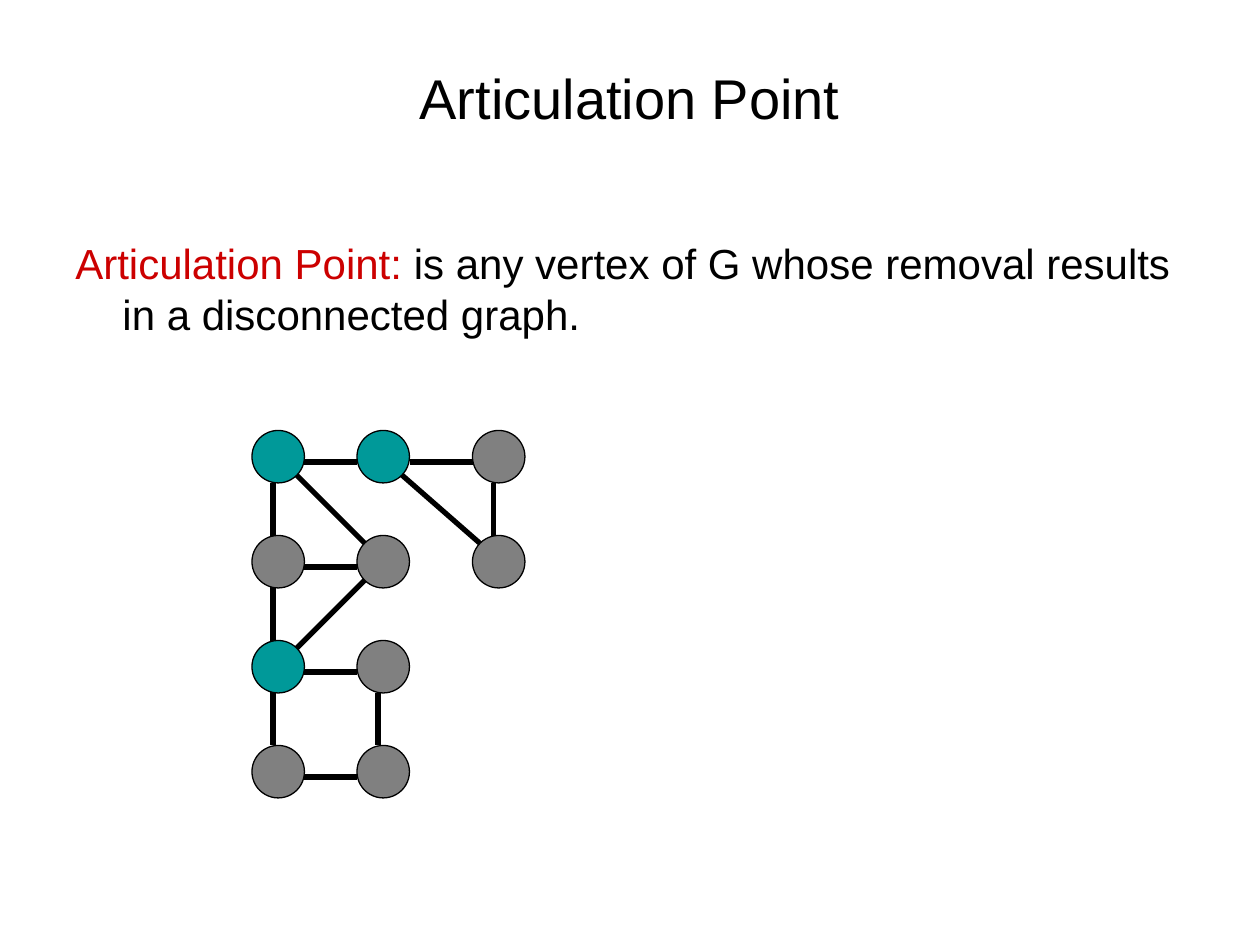
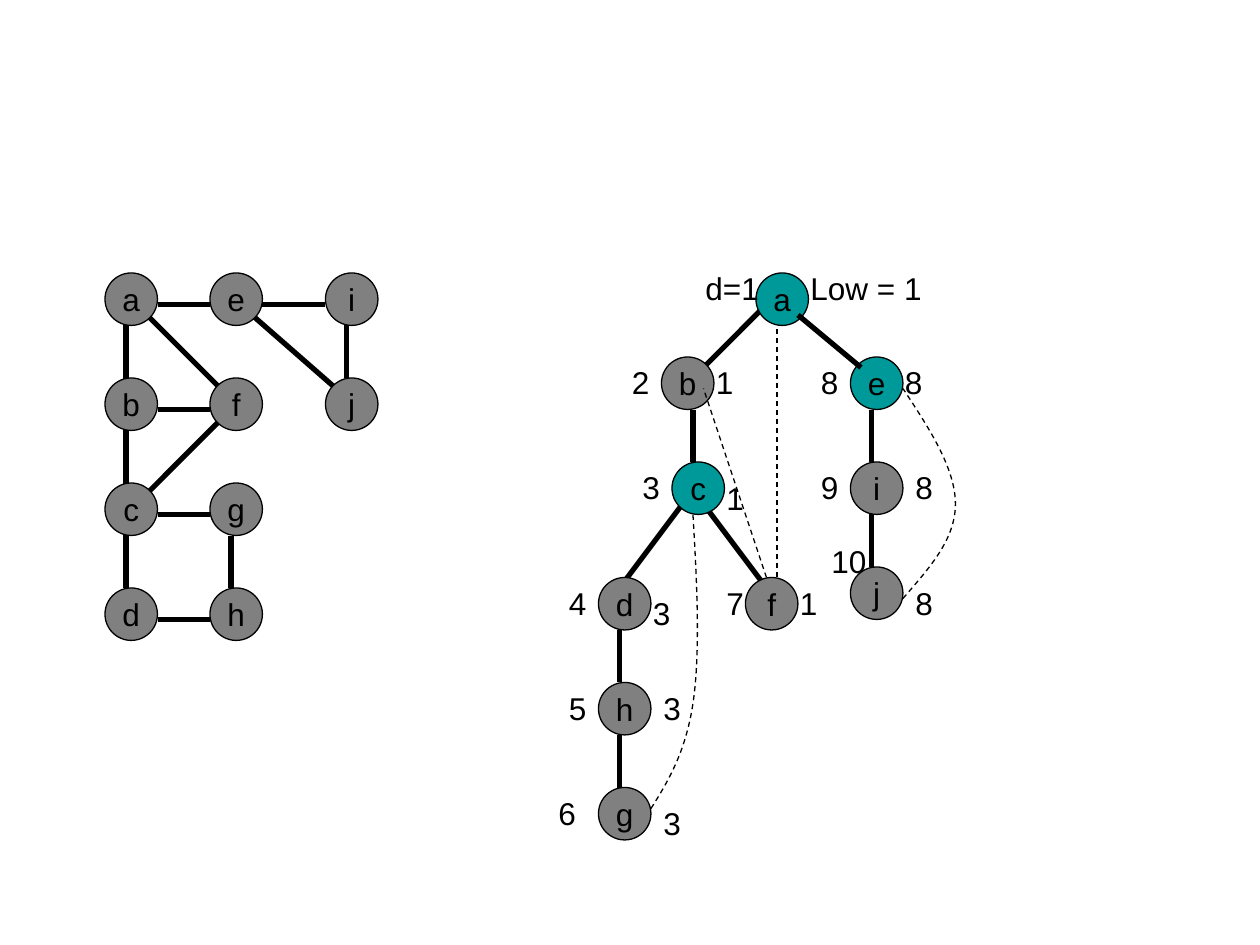
import functools
from dataclasses import dataclass
from typing import Any, NamedTuple

import lxml.etree
import pptx
import pptx.dml.color
import pptx.enum.dml
import pptx.enum.shapes
import pptx.enum.text
import pptx.oxml.ns
import pptx.util

BLACK = pptx.dml.color.RGBColor(0x00, 0x00, 0x00)
RED = pptx.dml.color.RGBColor(0xCC, 0x00, 0x00)
GRAY = pptx.dml.color.RGBColor(0x80, 0x80, 0x80)
TEAL = pptx.dml.color.RGBColor(0x00, 0x99, 0x99)

FONT = "Arial"
LABEL_SIZE = 18
EDGE_WIDTH = 3
THIN_WIDTH = 0.75
GRID_CM = 2.54 / 12
NODE_SIZE = 5
LABEL_HEIGHT = 4.8


class Point(NamedTuple):
    x: float
    y: float


class Edge(NamedTuple):
    x1: float
    y1: float
    x2: float
    y2: float


class Node(NamedTuple):
    name: str
    x: float
    y: float


class Label(NamedTuple):
    text: str
    x: float
    y: float
    width: float


class Span(NamedTuple):
    text: str
    color: pptx.dml.color.RGBColor = BLACK


@dataclass(frozen=True)
class Graph:
    nodes: tuple[Node, ...]
    back_edges: tuple[Edge, ...]
    front_edges: tuple[Edge, ...]


NETWORK = Graph(
    nodes=(
        Node("a", 0, 0), Node("e", 10, 0), Node("i", 21, 0),
        Node("b", 0, 10), Node("f", 10, 10), Node("j", 21, 10),
        Node("c", 0, 20), Node("g", 10, 20),
        Node("d", 0, 30), Node("h", 10, 30),
    ),
    back_edges=(
        Edge(4, 21, 11, 14), Edge(4, 4, 11, 11),
        Edge(2, 5, 2, 30), Edge(14, 4, 22, 11),
    ),
    front_edges=(
        *(Edge(5, row + 3, 10, row + 3) for row in range(0, 40, 10)),
        Edge(15, 3, 21, 3), Edge(23, 5, 23, 10), Edge(12, 25, 12, 30),
    ),
)

SEARCH_TREE = Graph(
    nodes=(
        Node("a", 72, 26), Node("b", 63, 34), Node("e", 81, 34),
        Node("c", 64, 44), Node("d", 57, 55), Node("g", 57, 75),
        Node("f", 71, 55), Node("h", 57, 65), Node("i", 81, 44),
        Node("j", 81, 54),
    ),
    back_edges=(
        Edge(59, 56, 65, 48), Edge(66, 36, 73, 29), Edge(67, 48, 73, 56),
    ),
    front_edges=(
        Edge(83, 49, 83, 54), Edge(83, 39, 83, 44), Edge(66, 39, 66, 44),
        Edge(59, 60, 59, 65), Edge(59, 70, 59, 75), Edge(76, 30, 82, 35),
    ),
)

ARTICULATION_POINTS = "ace"

STRAIGHT_RETURNS = (Edge(73, 55, 67, 37), Edge(74, 55, 74, 31))
CURVED_RETURNS = (
    (
        Point(62, 77), Point(63.7, 74.3), Point(65.3, 71.6), Point(66, 67),
        Point(66.7, 62.3), Point(66.4, 55.7), Point(66, 49),
    ),
    (
        Point(86, 57), Point(88.5, 54.1), Point(91, 51.4), Point(91, 48),
        Point(91, 44.6), Point(88.5, 40.8), Point(86, 37),
    ),
)

DISCOVERY_LABELS = (
    Label("d=1", 66, 25, 9), Label("2", 59, 34, 5), Label("3", 60, 44, 3),
    Label("4", 53, 55, 4), Label("5", 53, 65, 4), Label("6", 52, 75, 4),
    Label("7", 68, 55, 3), Label("8", 77, 34, 4), Label("9", 77, 44, 3),
    Label("10", 78, 51, 6),
)
LOW_LABELS = (
    Label("Low = 1", 76, 25, 14), Label("1", 67, 34, 4), Label("1", 68, 45, 4),
    Label("3", 61, 56, 3), Label("3", 62, 65, 3), Label("3", 62, 76, 3),
    Label("1", 75, 55, 4), Label("8", 85, 34, 5), Label("8", 86, 44, 8),
    Label("8", 86, 55, 8),
)


def grid(units: float) -> pptx.util.Length:
    return pptx.util.Cm(units * GRID_CM)


def add_span(para: Any, span: Span, size: float) -> None:
    run = para.add_run()
    run.text = span.text
    run.font.name = FONT
    run.font.size = pptx.util.Pt(size)
    run.font.color.rgb = span.color


def add_text(
    page: Any, left: float, top: float, width: float, height: float,
    spans: tuple[Span, ...], size: float,
) -> Any:
    box = page.shapes.add_textbox(
        *(pptx.util.Cm(length) for length in (left, top, width, height))
    )
    box.text_frame.word_wrap = True
    for span in spans:
        add_span(box.text_frame.paragraphs[0], span, size)
    return box


def style_line(line: Any, width: float, dashed: bool = False) -> None:
    line.color.rgb = BLACK
    line.width = pptx.util.Pt(width)
    if dashed:
        line.dash_style = pptx.enum.dml.MSO_LINE.DASH


def add_edge(
    shapes: Any, edge: Edge, origin: Point,
    width: float = EDGE_WIDTH, dashed: bool = False,
) -> None:
    connector = shapes.add_connector(
        pptx.enum.shapes.MSO_CONNECTOR.STRAIGHT,
        grid(origin.x + edge.x1), grid(origin.y + edge.y1),
        grid(origin.x + edge.x2), grid(origin.y + edge.y2),
    )
    style_line(connector.line, width, dashed)
    lxml.etree.SubElement(
        connector.element.spPr, pptx.oxml.ns.qn("a:effectLst")
    )


def add_node(
    shapes: Any, node: Node, origin: Point, highlighted: str, named: bool
) -> None:
    circle = shapes.add_shape(
        pptx.enum.shapes.MSO_SHAPE.OVAL,
        grid(origin.x + node.x), grid(origin.y + node.y),
        grid(NODE_SIZE), grid(NODE_SIZE),
    )
    circle.shadow.inherit = False
    circle.fill.solid()
    circle.fill.fore_color.rgb = TEAL if node.name in highlighted else GRAY
    style_line(circle.line, THIN_WIDTH)
    if named:
        frame = circle.text_frame
        frame.word_wrap = False
        frame.vertical_anchor = pptx.enum.text.MSO_ANCHOR.MIDDLE
        para = frame.paragraphs[0]
        para.alignment = pptx.enum.text.PP_ALIGN.CENTER
        add_span(para, Span(node.name), LABEL_SIZE)


def add_graph(
    shapes: Any, graph: Graph, origin: Point,
    highlighted: str = "", named: bool = True,
) -> None:
    for edge in graph.back_edges:
        add_edge(shapes, edge, origin)
    for node in graph.nodes:
        add_node(shapes, node, origin, highlighted, named)
    for edge in graph.front_edges:
        add_edge(shapes, edge, origin)


def add_curve(shapes: Any, points: tuple[Point, ...]) -> None:
    start, *controls = [(grid(point.x), grid(point.y)) for point in points]
    builder = shapes.build_freeform(*start)
    builder.add_line_segments(controls, close=False)
    curve = builder.convert_to_shape()
    curve.shadow.inherit = False
    curve.fill.background()
    style_line(curve.line, THIN_WIDTH, dashed=True)
    segments = list(curve.element.iter(pptx.oxml.ns.qn("a:lnTo")))
    outline = segments[0].getparent()
    for first in range(0, len(segments), 3):
        bezier = lxml.etree.SubElement(
            outline, pptx.oxml.ns.qn("a:cubicBezTo")
        )
        for segment in segments[first:first + 3]:
            bezier.append(segment[0])
            outline.remove(segment)


def add_label(page: Any, label: Label) -> None:
    box = add_text(
        page, label.x * GRID_CM, label.y * GRID_CM,
        label.width * GRID_CM, LABEL_HEIGHT * GRID_CM,
        (Span(label.text),), LABEL_SIZE,
    )
    box.text_frame.auto_size = pptx.enum.text.MSO_AUTO_SIZE.SHAPE_TO_FIT_TEXT


def build_definition(page: Any) -> None:
    title = add_text(
        page, 1.27, 0.76, 22.86, 2.41, (Span("Articulation Point"),), 32
    )
    title.text_frame.vertical_anchor = pptx.enum.text.MSO_ANCHOR.MIDDLE
    title.text_frame.paragraphs[0].alignment = pptx.enum.text.PP_ALIGN.CENTER
    definition = add_text(
        page, 1.27, 4.67, 22.86, 13.31,
        (
            Span("Articulation Point:", RED),
            Span(
                " is any vertex of G whose removal results "
                "in a disconnected graph."
            ),
        ),
        24,
    )
    properties = definition.text_frame.paragraphs[0]._p.get_or_add_pPr()
    indent = pptx.util.Cm(0.95)
    properties.set("marL", str(indent))
    properties.set("indent", str(-indent))
    group = page.shapes.add_group_shape()
    add_graph(
        group.shapes, NETWORK, Point(24, 41), ARTICULATION_POINTS, named=False
    )


def build_search(page: Any) -> None:
    shapes = page.shapes
    add_graph(shapes, NETWORK, Point(10, 26))
    page_origin = Point(0, 0)
    add_graph(shapes, SEARCH_TREE, page_origin, ARTICULATION_POINTS)
    add_return = functools.partial(
        add_edge, shapes, origin=page_origin, width=THIN_WIDTH, dashed=True
    )
    for edge in STRAIGHT_RETURNS:
        add_return(edge)
    for points in CURVED_RETURNS:
        add_curve(shapes, points)
    for label in LOW_LABELS + DISCOVERY_LABELS:
        add_label(page, label)


def main() -> None:
    deck = pptx.Presentation()
    deck.slide_width = pptx.util.Cm(25.4)
    deck.slide_height = pptx.util.Cm(19.05)
    for build in (build_definition, build_search):
        build(deck.slides.add_slide(deck.slide_layouts[6]))
    deck.save("out.pptx")


if __name__ == "__main__":
    main()
